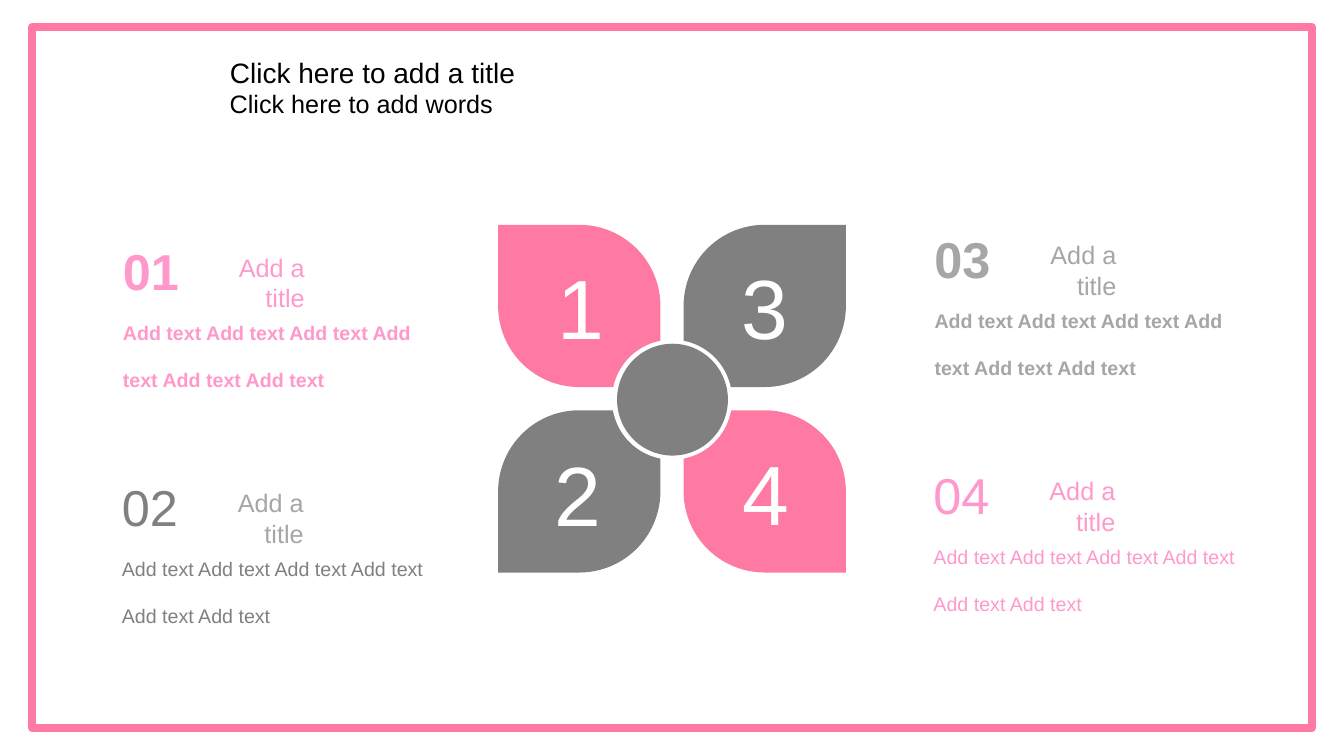
from dataclasses import dataclass

from pptx import Presentation
from pptx.dml.color import RGBColor
from pptx.enum.shapes import MSO_SHAPE
from pptx.enum.text import MSO_ANCHOR, MSO_AUTO_SIZE, PP_ALIGN
from pptx.util import Emu, Pt

EMU_PER_PX = 9144
FONT = "Arial"
COLORS = {
    "white": "FFFFFF",
    "black": "000000",
    "rose": "FF7AA3",
    "pink": "FF99CC",
    "gray": "808080",
    "silver": "A6A6A6",
}
BODY_TEXT = "Add text Add text Add text Add text Add text Add text"
PETAL_SIZE = 173
PETAL_BORDER = 6


@dataclass(frozen=True)
class Box:
    left: int
    top: int
    width: int
    height: int

    def inset(self, margin: int) -> "Box":
        return Box(self.left + margin, self.top + margin,
                   self.width - 2 * margin, self.height - 2 * margin)

    def emu(self) -> tuple[Emu, ...]:
        return tuple(px(v) for v in (self.left, self.top, self.width, self.height))


@dataclass(frozen=True)
class Style:
    size: int
    color: str
    bold: bool = False
    align: PP_ALIGN = PP_ALIGN.LEFT
    spacing: float = 1.0
    wrap: bool = True


@dataclass(frozen=True)
class Petal:
    digit: str
    left: int
    top: int
    color: str
    corners: tuple[float, float]
    digit_left: int
    digit_top: int


@dataclass(frozen=True)
class Item:
    number: str
    left: int
    top: int
    color: str
    title_color: str
    bold: bool


FALLING = (0, 0.5)
RISING = (0.5, 0)
PETALS = [
    Petal("3", 672, 217, "gray", RISING, 726, 249),
    Petal("1", 488, 217, "rose", FALLING, 543, 249),
    Petal("4", 672, 401, "rose", FALLING, 727, 433),
    Petal("2", 488, 401, "gray", RISING, 540, 434),
]
ITEMS = [
    Item("01", 112, 233, "pink", "pink", True),
    Item("02", 111, 467, "gray", "silver", False),
    Item("03", 917, 221, "silver", "silver", True),
    Item("04", 916, 455, "pink", "pink", False),
]


def px(value: int) -> Emu:
    return Emu(value * EMU_PER_PX)


def rgb(name: str) -> RGBColor:
    return RGBColor.from_string(COLORS[name])


def write(shape, text: str, style: Style) -> None:
    frame = shape.text_frame
    frame.text = text
    frame.word_wrap = style.wrap
    frame.auto_size = MSO_AUTO_SIZE.SHAPE_TO_FIT_TEXT
    frame.vertical_anchor = MSO_ANCHOR.TOP
    paragraph = frame.paragraphs[0]
    paragraph.alignment = style.align
    paragraph.line_spacing = style.spacing
    font = paragraph.runs[0].font
    font.name = FONT
    font.size = Pt(style.size)
    font.bold = style.bold
    font.color.rgb = rgb(style.color)


def add_text(slide, box: Box, text: str, style: Style) -> None:
    write(slide.shapes.add_textbox(*box.emu()), text, style)


def add_filled(shapes, kind: MSO_SHAPE, box: Box, color: str):
    shape = shapes.add_shape(kind, *box.emu())
    shape.shadow.inherit = False
    shape.fill.solid()
    shape.fill.fore_color.rgb = rgb(color)
    shape.line.fill.background()
    return shape


def add_petal(shapes, petal: Petal, margin: int, color: str) -> None:
    box = Box(petal.left, petal.top, PETAL_SIZE, PETAL_SIZE).inset(margin)
    shape = add_filled(shapes, MSO_SHAPE.ROUND_2_DIAG_RECTANGLE, box, color)
    shape.adjustments[0], shape.adjustments[1] = petal.corners


def add_heading(slide) -> None:
    frame = add_filled(slide.shapes, MSO_SHAPE.RECTANGLE, Box(32, 27, 1269, 695), "white")
    frame.line.color.rgb = rgb("rose")
    frame.line.width = Pt(6)
    title = slide.shapes.title
    title.left, title.top, title.width, title.height = Box(218, 50, 311, 44).emu()
    write(title, "Click here to add a title", Style(20, "black"))
    frame.element.addnext(title.element)
    add_text(slide, Box(218, 83, 293, 40), "Click here to add words",
             Style(18, "black", align=PP_ALIGN.JUSTIFY))


def add_flower(slide) -> None:
    flower = slide.shapes.add_group_shape().shapes
    for petal in PETALS:
        add_petal(flower, petal, 0, "white")
    for petal in PETALS:
        add_petal(flower, petal, PETAL_BORDER, petal.color)
    add_filled(flower, MSO_SHAPE.OVAL, Box(607, 337, 119, 119), "white")
    add_filled(flower, MSO_SHAPE.OVAL, Box(612, 341, 110, 111), "gray")
    for petal in PETALS:
        add_text(slide, Box(petal.digit_left, petal.digit_top, 67, 111), petal.digit,
                 Style(60, "white", wrap=False))


def add_item(slide, item: Item) -> None:
    add_text(slide, Box(item.left, item.top, 76, 71), item.number,
             Style(36, item.color, item.bold, wrap=False))
    add_text(slide, Box(item.left + 79, item.top + 12, 121, 40), "Add a title",
             Style(18, item.title_color, align=PP_ALIGN.RIGHT))
    add_text(slide, Box(item.left, item.top + 57, 329, 104), BODY_TEXT,
             Style(14, item.color, item.bold, spacing=2.0))


def main() -> None:
    presentation = Presentation()
    presentation.slide_width = px(1333)
    presentation.slide_height = px(750)
    slide = presentation.slides.add_slide(presentation.slide_layouts[5])
    add_heading(slide)
    add_flower(slide)
    for item in ITEMS:
        add_item(slide, item)
    presentation.save("out.pptx")


if __name__ == "__main__":
    main()
